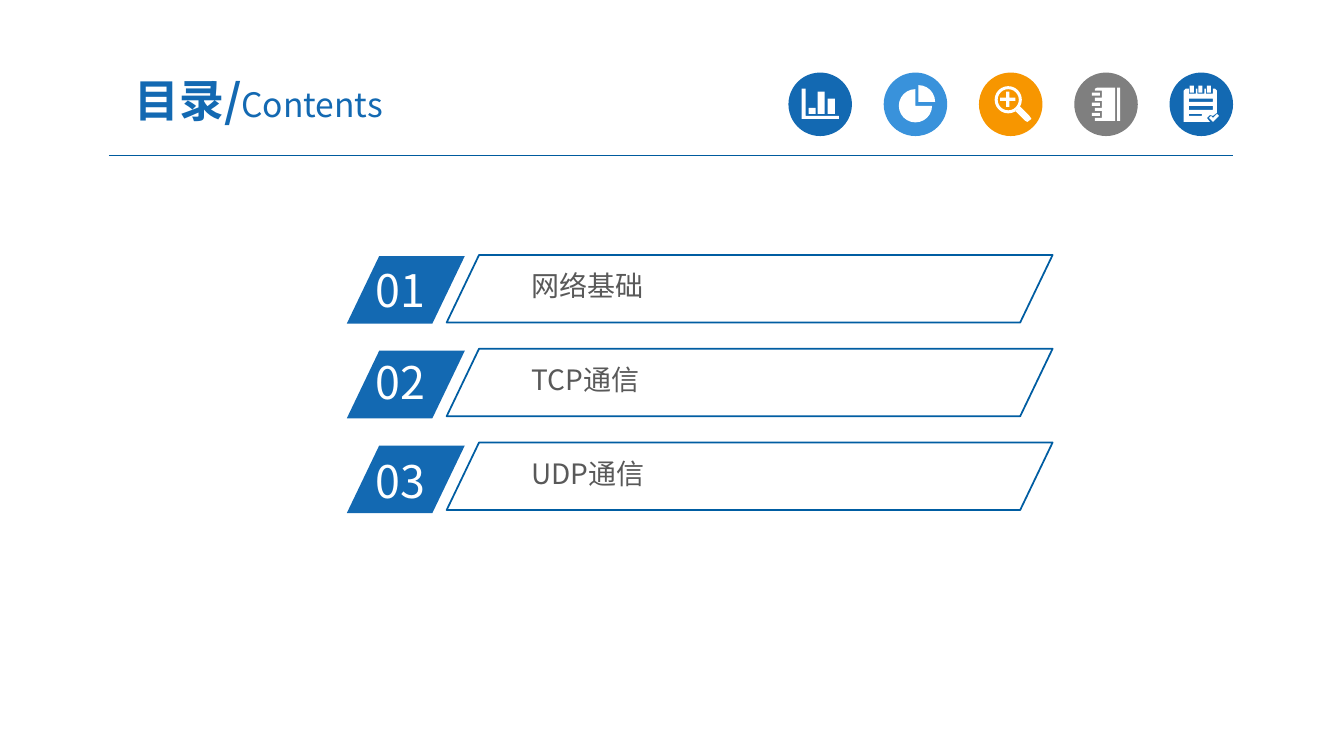
from math import cos, radians, sin

from lxml import etree
from pptx import Presentation
from pptx.dml.color import RGBColor
from pptx.enum.shapes import MSO_CONNECTOR, MSO_SHAPE as Shape
from pptx.enum.text import MSO_ANCHOR, PP_ALIGN
from pptx.oxml.ns import qn
from pptx.util import Inches, Pt

FONT = "Noto Sans CJK SC"
BLUE, SKY, ORANGE, GRAY, WHITE = "1369B2", "3992DB", "F79600", "7F7F7F", "FFFFFF"


def set_fill(shape, color):
    """Give a shape a flat fill, or none for None, without line or shadow."""
    shape.shadow.inherit = False
    shape.line.fill.background()
    if color:
        shape.fill.solid()
        shape.fill.fore_color.rgb = RGBColor.from_string(color)
    else:
        shape.fill.background()


def add_text(box, runs, color, margins=(0.1, 0.05)):
    """Add a text box with one paragraph of (text, size, bold) runs."""
    text_box = slide.shapes.add_textbox(*map(Inches, box))
    frame = text_box.text_frame
    frame.word_wrap = True
    frame.margin_left = frame.margin_right = Inches(margins[0])
    frame.margin_top = frame.margin_bottom = Inches(margins[1])
    paragraph = frame.paragraphs[0]
    for text, size, bold in runs:
        run = paragraph.add_run()
        run.text = text
        run.font.name = FONT
        run.font.size = Pt(size)
        run.font.bold = bold
        run.font.color.rgb = RGBColor.from_string(color)
        etree.SubElement(run.font._element, qn("a:ea")).set("typeface", FONT)
    return frame


presentation = Presentation()
presentation.slide_width = Inches(13.33)
presentation.slide_height = Inches(7.5)
slide = presentation.slides.add_slide(presentation.slide_layouts[6])

# Header rule
rule = slide.shapes.add_connector(
    MSO_CONNECTOR.STRAIGHT, Inches(1.08), Inches(1.54), Inches(12.23), Inches(1.54))
rule.line.color.rgb = RGBColor.from_string("005B9E")
rule.line.width = Pt(0.75)
etree.SubElement(rule._element.spPr, qn("a:effectLst"))

# Icon outlines: a list holds points, four numbers are a box (left, top, width,
# height), five are a sector (centre x, centre y, radius, start and end degrees)
bar_chart = [
    [(7.95, 0.88), (7.99, 0.88), (7.99, 1.15), (8.32, 1.15), (8.32, 1.18), (7.95, 1.18)],
    (8.02, 1.07, 0.07, 0.06),
    (8.11, 0.91, 0.07, 0.22),
    (8.21, 0.98, 0.07, 0.15),
]
pie_chart = [(9.08, 1.05, 0.165, 0, 270), (9.11, 1.01, 0.165, 270, 360)]
magnifier = [
    (10, 0.99, 0.135, 0, 360),
    (10, 0.99, 0.105, 0, 360),
    [(9.92, 0.97), (9.98, 0.97), (9.98, 0.91), (10.01, 0.91), (10.01, 0.97), (10.07, 0.97),
     (10.07, 1), (10.01, 1), (10.01, 1.06), (9.98, 1.06), (9.98, 1), (9.92, 1)],
    [(10.07, 1.1), (10.12, 1.06), (10.21, 1.15), (10.23, 1.18), (10.19, 1.21), (10.17, 1.2)],
]
notebook_cover = [(11.06, 1.2), (11.06, 0.87), (10.88, 0.87), (10.86, 0.88)]
notebook = [notebook_cover, (11.08, 0.87, 0.03, 0.33)]
notepad_sheet = [(11.74, 1.21), (11.74, 0.9), (11.76, 0.88)]
notepad = [
    notepad_sheet,
    (11.79, 0.98, 0.24, 0.03),
    (11.79, 1.05, 0.24, 0.04),
    (11.79, 1.13, 0.13, 0.02),
    [(11.99, 1.17), (12.01, 1.15), (12.03, 1.17), (12.07, 1.13), (12.09, 1.15), (12.03, 1.21)],
]
for ring in range(3):
    top = 0.9 + 0.1 * ring
    notebook_cover += [(10.86, top), (10.93, top), (10.93, top + 0.07), (10.86, top + 0.07)]
    notebook.append((10.83, top + 0.02, 0.08, 0.03))
    left = 11.79 + 0.085 * ring
    notepad_sheet += [(left, 0.88), (left, 0.93), (left + 0.07, 0.93), (left + 0.07, 0.88)]
    notepad.append((left + 0.01, 0.85, 0.04, 0.07))
notebook_cover.append((10.86, 1.2))
notepad_sheet += [(12.05, 0.88), (12.07, 0.9), (12.07, 1.12), (12.03, 1.15),
                  (12, 1.14), (11.97, 1.17), (12, 1.21)]

icons = [(BLUE, bar_chart), (SKY, pie_chart), (ORANGE, magnifier),
         (GRAY, notebook), (BLUE, notepad)]
for position, (color, outlines) in enumerate(icons):
    group = slide.shapes.add_group_shape()
    disc = group.shapes.add_shape(
        Shape.OVAL, Inches(7.82 + 0.945 * position), Inches(0.72), Inches(0.63), Inches(0.63))
    set_fill(disc, color)
    builder = None
    for outline in outlines:
        if isinstance(outline, list):
            points = outline
        elif len(outline) == 4:
            left, top, width, height = outline
            points = [(left, top), (left + width, top),
                      (left + width, top + height), (left, top + height)]
        else:
            x, y, radius, start, end = outline
            points = [(x + radius * cos(radians(angle)), y + radius * sin(radians(angle)))
                      for angle in range(start, end + 1, 15)]
            if end - start < 360:
                points.append((x, y))
        points = [(Inches(x), Inches(y)) for x, y in points]
        if builder:
            builder.move_to(*points[0])
        else:
            builder = group.shapes.build_freeform(*points[0], scale=1.0)
        builder.add_line_segments(points[1:])
    set_fill(builder.convert_to_shape(), WHITE)

# Title
title = add_text((0.92, 0.63, 3.29, 0.72),
                 [("目录/", 32, True), ("Contents", 24, False)], BLUE, (0.13, 0.07))
title.vertical_anchor = MSO_ANCHOR.MIDDLE
title.paragraphs[0].alignment = PP_ALIGN.CENTER

# Agenda rows: number, top of the number, label
agenda = [("01", 2.56, "网络基础"), ("02", 3.47, "TCP通信"), ("03", 4.45, "UDP通信")]
for row, (number, number_top, label) in enumerate(agenda):
    badge = slide.shapes.add_shape(
        Shape.PARALLELOGRAM, Inches(3.44), Inches(2.54 + 0.94 * row), Inches(1.17), Inches(0.67))
    set_fill(badge, BLUE)
    add_text((3.63, number_top, 1.12, 0.64), [(number, 32, False)], WHITE)
    add_text((5.2, 2.62 + 0.935 * row, 4.72, 0.41), [(label, 20, False)],
             "595959", (0.07, 0.04))
    frame = slide.shapes.add_shape(
        Shape.PARALLELOGRAM, Inches(4.43), Inches(2.53 + 0.93 * row), Inches(6.01), Inches(0.67))
    set_fill(frame, None)
    frame.line.color.rgb = RGBColor.from_string("005DA2")
    frame.line.width = Pt(1.25)
    badge.adjustments[0] = frame.adjustments[0] = 0.48

presentation.save("out.pptx")
